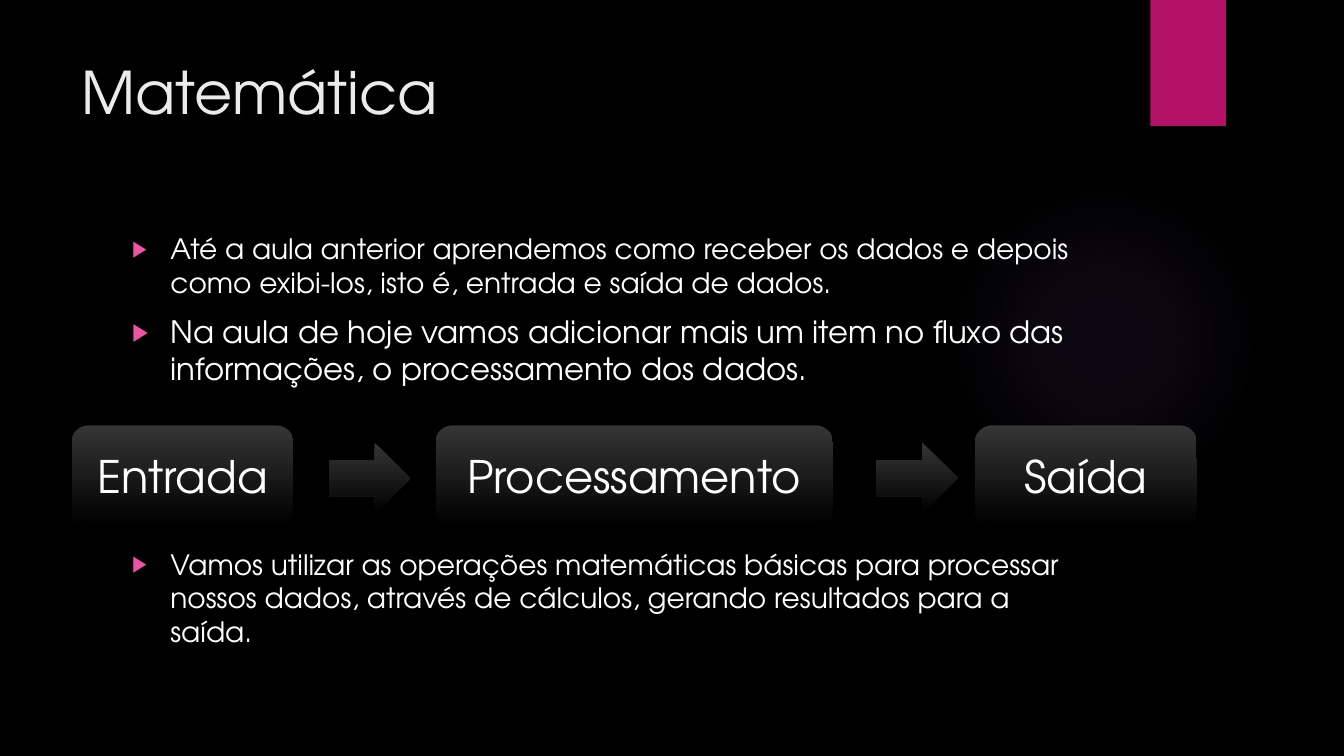
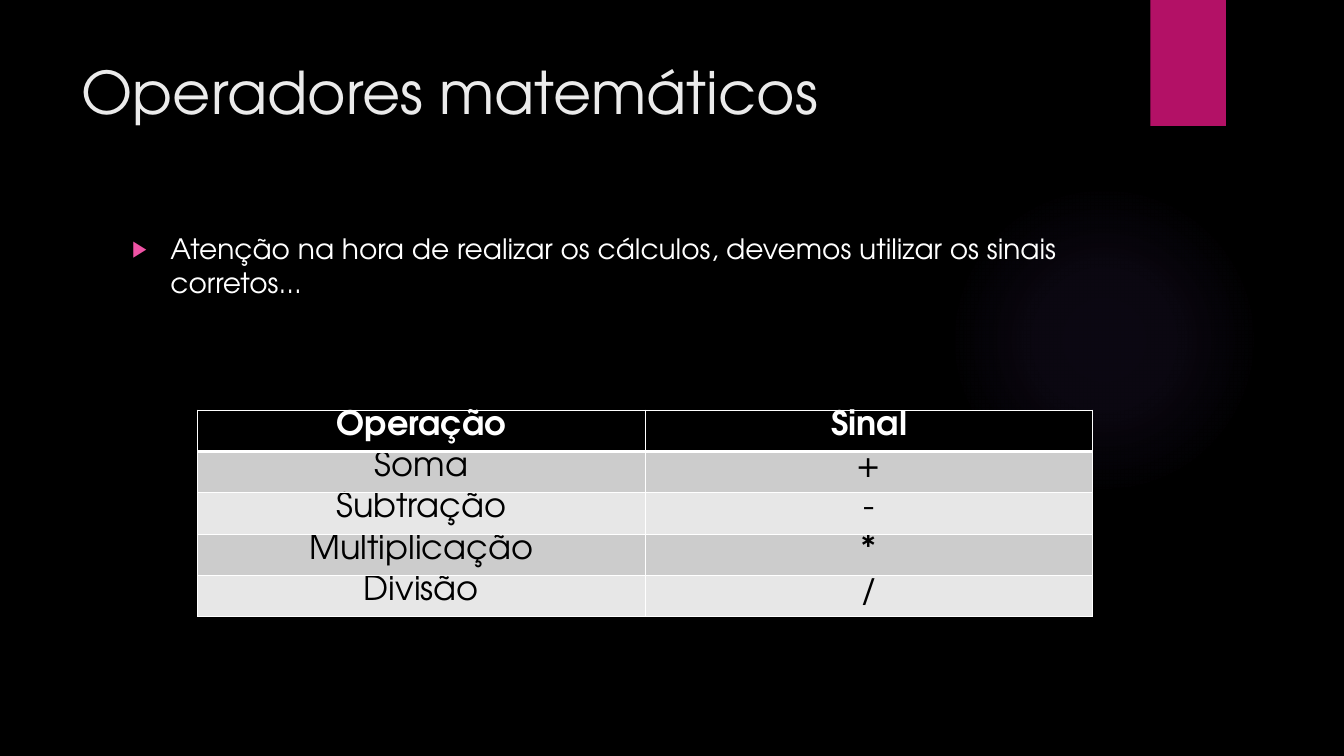
from lxml import etree
from pptx import Presentation
from pptx.dml.color import RGBColor
from pptx.enum.shapes import MSO_SHAPE
from pptx.enum.text import MSO_ANCHOR, MSO_AUTO_SIZE, PP_ALIGN
from pptx.oxml import parse_xml
from pptx.oxml.ns import nsdecls, qn
from pptx.util import Inches, Pt

BLACK = RGBColor(0x00, 0x00, 0x00)
WHITE = RGBColor(0xFF, 0xFF, 0xFF)
TITLE_GREY = RGBColor(0xEB, 0xEB, 0xEB)
MAGENTA = RGBColor(0xB3, 0x11, 0x66)
PINK = RGBColor(0xEF, 0x53, 0xA5)
VIOLET = RGBColor(0x9B, 0x6B, 0xF2)
CHARCOAL = RGBColor(0x35, 0x35, 0x35)
BAND_DARK = RGBColor(0xCC, 0xCC, 0xCC)
BAND_LIGHT = RGBColor(0xE7, 0xE7, 0xE7)

ELLIPSE = MSO_SHAPE.OVAL
RECTANGLE = MSO_SHAPE.RECTANGLE
ROUNDED = MSO_SHAPE.ROUNDED_RECTANGLE
ARROW = MSO_SHAPE.RIGHT_ARROW
TOP, MIDDLE = MSO_ANCHOR.TOP, MSO_ANCHOR.MIDDLE
NO_FIT = MSO_AUTO_SIZE.NONE
LEFT, CENTER = PP_ALIGN.LEFT, PP_ALIGN.CENTER

FONT = "TeX Gyre Adventor"
TITLE_BOX = (0.71, 0.5, 10.29, 1.53)
BODY_BOX = (1.21, 2.25, 9.78, 4.59)
GLOW_BOX = (9.41, 1.83, 3.08, 3.08)
BAND_BOX = (11.41, 0, 0.75, 1.25)
FLOW_BOX = (0.71, 4.22, 11.16, 1)
TABLE_BOX = (1.96, 4.07, 8.88, 2.05)

LINEAR_DOWN = '<a:lin ang="5400000" scaled="0"/>'
RADIAL = ('<a:path path="circle"><a:fillToRect l="50000" t="50000" '
          'r="50000" b="50000"/></a:path>')
FLOW_STOPS = [(0, CHARCOAL, 100), (100, BLACK, 100)]
GLOW_STOPS = [(0, VIOLET, 7), (36, VIOLET, 6), (69, VIOLET, 0)]


def inches(box):
    return [Inches(length) for length in box]


def apply(target, formats):
    for name, value in formats.items():
        setattr(target, name, value)


def write(para, text, size, color, align=LEFT, bold=False):
    para.alignment = align
    span = para.add_run()
    span.text = text
    apply(span.font, {"name": FONT, "size": Pt(size), "bold": bold})
    span.font.color.rgb = color


def add_plain_shape(page, kind, box):
    shape = page.shapes.add_shape(kind, *inches(box))
    shape.shadow.inherit = False
    shape.line.fill.background()
    return shape


def fill_gradient(shape, stops, direction):
    marks = "".join(
        f'<a:gs pos="{position * 1000}"><a:srgbClr val="{color}">'
        f'<a:alpha val="{opacity * 1000}"/></a:srgbClr></a:gs>'
        for position, color, opacity in stops)
    gradient = parse_xml(
        f'<a:gradFill {nsdecls("a")} rotWithShape="1">'
        f'<a:gsLst>{marks}</a:gsLst>{direction}</a:gradFill>')
    shape.element.spPr.find(qn("a:prstGeom")).addnext(gradient)


def decorate_master(deck, page):
    master = deck.slide_master
    master.background.fill.solid()
    master.background.fill.fore_color.rgb = BLACK
    glow = add_plain_shape(page, ELLIPSE, GLOW_BOX)
    fill_gradient(glow, GLOW_STOPS, RADIAL)
    band = add_plain_shape(page, RECTANGLE, BAND_BOX)
    band.fill.solid()
    band.fill.fore_color.rgb = MAGENTA
    for index, shape in enumerate((glow, band)):
        shape.element.nvSpPr.cNvPr.set("id", str(100 + index))
        master.shapes.element.insert(2 + index, shape.element)


def add_page(deck, title):
    page = deck.slides.add_slide(deck.slide_layouts[1])
    for holder, box in zip(page.placeholders, (TITLE_BOX, BODY_BOX)):
        apply(holder, dict(zip(("left", "top", "width", "height"), inches(box))))
        apply(holder.text_frame, {"vertical_anchor": TOP, "word_wrap": True,
                                  "auto_size": NO_FIT})
    write(page.shapes.title.text_frame.paragraphs[0], title, 42, TITLE_GREY)
    return page


def add_bullet(para):
    properties = para._p.get_or_add_pPr()
    properties.set("marL", str(Inches(0.38)))
    properties.set("indent", str(-Inches(0.38)))
    color = etree.SubElement(properties, qn("a:buClr"))
    etree.SubElement(color, qn("a:srgbClr"), val=str(PINK))
    etree.SubElement(properties, qn("a:buSzPct"), val="80000")
    etree.SubElement(properties, qn("a:buFont"), typeface="Arial")
    etree.SubElement(properties, qn("a:buChar"), char="▶")


def fill_list(page, items):
    frame = page.placeholders[1].text_frame
    for index, (text, size, gap) in enumerate(items):
        para = frame.add_paragraph() if index else frame.paragraphs[0]
        para.space_before = Pt(gap)
        add_bullet(para)
        write(para, text, size, WHITE)


def add_flow(page, box, steps, arrow_offsets):
    left, top, width, height = box
    gap = (width - sum(size for _, size in steps)) / (len(steps) - 1)
    arrow_width, arrow_height = 0.81, 0.71
    for index, (label, size) in enumerate(steps):
        step = add_plain_shape(page, ROUNDED, (left, top, size, height))
        fill_gradient(step, FLOW_STOPS, LINEAR_DOWN)
        apply(step.text_frame, {"vertical_anchor": MIDDLE, "word_wrap": True})
        write(step.text_frame.paragraphs[0], label, 32, WHITE, CENTER)
        left += size
        if index < len(arrow_offsets):
            arrow = add_plain_shape(page, ARROW, (
                left + arrow_offsets[index], top + 0.17,
                arrow_width, arrow_height))
            fill_gradient(arrow, FLOW_STOPS, LINEAR_DOWN)
        left += gap


def set_borders(cell, widths):
    properties = cell._tc.get_or_add_tcPr()
    for index, (side, width) in enumerate(widths.items()):
        properties.insert(index, parse_xml(
            f'<a:ln{side} {nsdecls("a")} w="{Pt(width)}"><a:solidFill>'
            f'<a:srgbClr val="{WHITE}"/></a:solidFill></a:ln{side}>'))


def add_operator_table(page, box, rows):
    table = page.shapes.add_table(len(rows), len(rows[0]), *inches(box)).table
    table.horz_banding = False
    for row, texts in enumerate(rows):
        header = row == 0
        fill = BLACK if header else BAND_DARK if row % 2 else BAND_LIGHT
        for column, text in enumerate(texts):
            cell = table.cell(row, column)
            apply(cell, {"margin_top": 0, "margin_bottom": 0,
                         "vertical_anchor": TOP})
            cell.fill.solid()
            cell.fill.fore_color.rgb = fill
            write(cell.text_frame.paragraphs[0], text, 24,
                  WHITE if header else BLACK, CENTER, header)
            set_borders(cell, {"L": 1, "R": 1, "T": 3 if row == 1 else 1,
                               "B": 3 if header else 1})


def build_mathematics(deck):
    page = add_page(deck, "Matemática")
    decorate_master(deck, page)
    fill_list(page, [
        ("Até a aula anterior aprendemos como receber os dados e depois "
         "como exibi-los, isto é, entrada e saída de dados.", 20, 10),
        ("Na aula de hoje vamos adicionar mais um item no fluxo das "
         "informações, o processamento dos dados.", 22, 10),
        ("Vamos utilizar as operações matemáticas básicas para processar "
         "nossos dados, através de cálculos, gerando resultados para a "
         "saída.", 20, 114.5),
    ])
    add_flow(page, FLOW_BOX, [("Entrada", 2.2), ("Processamento", 3.94),
                              ("Saída", 2.2)], (0.35, 0.43))


def build_operators(deck):
    page = add_page(deck, "Operadores matemáticos")
    fill_list(page, [
        ("Atenção na hora de realizar os cálculos, devemos utilizar os "
         "sinais corretos...", 20, 10),
    ])
    add_operator_table(page, TABLE_BOX, [
        ("Operação", "Sinal"), ("Soma", "+"), ("Subtração", "-"),
        ("Multiplicação", "*"), ("Divisão", "/"),
    ])


def main():
    deck = Presentation()
    deck.slide_width, deck.slide_height = Inches(13.33), Inches(7.5)
    build_mathematics(deck)
    build_operators(deck)
    deck.save("out.pptx")


if __name__ == "__main__":
    main()
